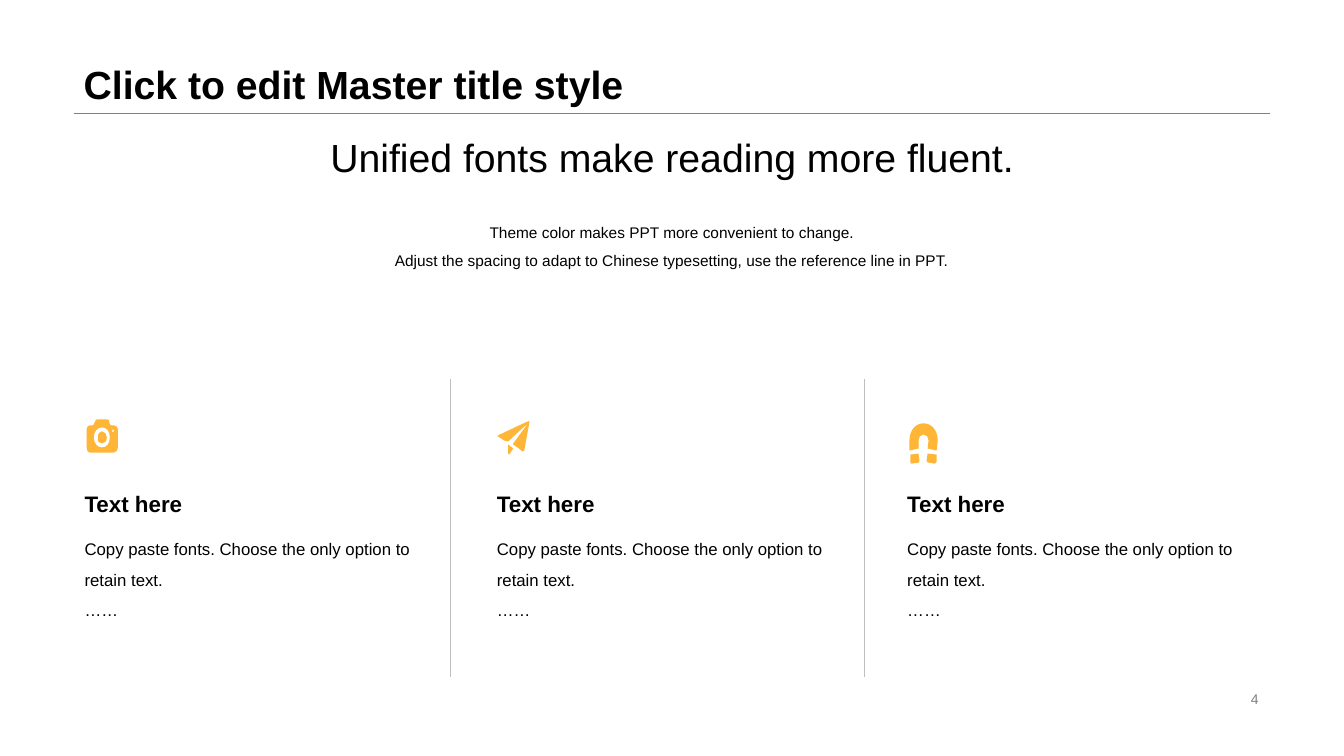
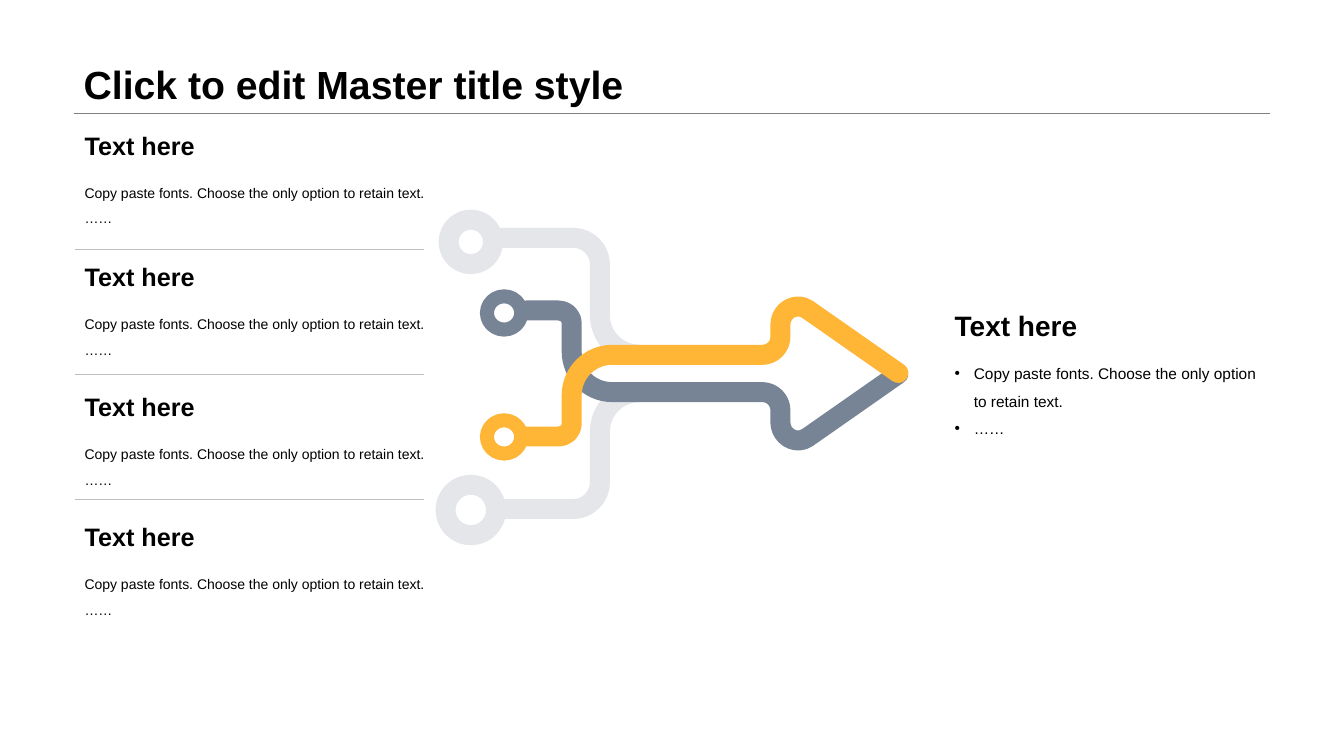
"""Build a three-column text slide and a four-branch merging arrow slide."""
from lxml.etree import SubElement
from pptx import Presentation
from pptx.dml.color import RGBColor
from pptx.enum.shapes import MSO_CONNECTOR, MSO_SHAPE
from pptx.enum.text import MSO_ANCHOR as Anchor, MSO_AUTO_SIZE, PP_ALIGN as Align
from pptx.oxml.ns import qn
from pptx.util import Pt

PX = 9144
FONT = "Arial"
BLACK, GRAY, DIVIDER = "000000", "808080", "BFBFBF"
AMBER, SLATE, MIST = "FFB535", "778495", "E4E6EA"
TITLE = "Click to edit Master title style"
HEADING = "Text here"
BODY = ["Copy paste fonts. Choose the only option to retain text.", "……"]
MIRROR_SUM = 741

CAMERA = (
    "M 101 428, C 98 428 97 431 97 434, C 97 438 98 440 101 440, "
    "C 104 440 106 438 106 434, C 106 431 104 428 101 428, "
    "M 113 422, L 110 422, C 110 422 109 422 109 421, L 108 417, "
    "C 107 417 107 416 106 416, L 96 416, C 96 416 95 417 95 417, L 93 421, "
    "C 93 422 93 422 92 422, L 89 422, C 87 422 86 424 86 426, L 86 444, "
    "C 86 447 87 449 89 449, L 113 449, C 115 449 117 447 117 444, L 117 426, "
    "C 117 424 115 422 113 422, "
    "M 101 444, C 97 444 93 440 93 434, C 93 428 97 424 101 424, "
    "C 106 424 109 428 109 434, C 109 440 106 444 101 444, "
    "M 112 429, C 112 429 111 428 111 428, C 111 427 112 426 112 426, "
    "C 113 426 113 427 113 428, C 113 428 113 429 112 429"
)
PAPER_PLANE = (
    "M 524 418, C 523 418 494 432 494 432, C 493 432 493 433 494 433, "
    "L 500 437 504 438, C 504 438 522 421 523 421, C 523 420 523 421 523 421, "
    "L 509 440 509 441, C 509 441 518 447 518 448, C 519 448 519 448 520 447, "
    "C 520 446 525 420 525 419, C 525 418 524 417 524 418, "
    "M 504 450, C 504 451 504 451 505 451, L 509 445 504 441"
)
MAGNET = (
    "M 919 457, C 919 458 920 459 921 459, L 927 460, C 928 460 928 459 929 458, "
    "L 929 451 920 450, "
    "M 903 451, L 903 458, C 903 459 903 460 904 460, L 911 459, "
    "C 911 459 912 458 912 457, L 911 450, "
    "M 902 439, L 902 447 911 445 911 437, C 911 434 913 431 916 431, "
    "C 919 431 921 434 921 437, L 920 445 929 447 930 437, "
    "C 930 427 924 420 916 420, C 908 420 902 427 902 437"
)
OUTER_BRANCH = (
    "M 497 236, L 569 236, C 583 236 595 248 595 262, L 595 313, "
    "C 595 334 612 352 635 352"
)
INNER_BRANCH = (
    "M 522 308, L 554 308, C 561 308 567 313 567 321, L 567 349, "
    "C 567 371 585 389 607 389, L 756 389, C 766 389 774 397 774 407, L 774 419, "
    "C 774 429 782 437 792 437, C 795 437 798 436 801 434, L 891 371"
)


def px(length):
    """Turn px into EMU."""
    return round(length * PX)


def color(hex_code):
    """Turn a hex string into a colour."""
    return RGBColor.from_string(hex_code)


def add_bullet(paragraph):
    """Give a paragraph a hanging bullet."""
    properties = paragraph._p.get_or_add_pPr()
    properties.set("marL", str(px(19)))
    properties.set("indent", str(px(-19)))
    SubElement(properties, qn("a:buFont")).set("typeface", FONT)
    SubElement(properties, qn("a:buChar")).set("char", "•")


def write(frame, lines, size, hex_code=BLACK, bold=False, align=Align.LEFT,
          spacing=1.0, bulleted=False):
    """Fill a text frame with one paragraph for each line."""
    for index, line in enumerate(lines):
        paragraph = frame.add_paragraph() if index else frame.paragraphs[0]
        if bulleted:
            add_bullet(paragraph)
        paragraph.alignment = align
        paragraph.line_spacing = spacing
        run = paragraph.add_run()
        run.text = line
        run.font.name = FONT
        run.font.size = Pt(size)
        run.font.bold = bold
        run.font.color.rgb = color(hex_code)


def add_text(slide, box, lines, size, anchor=Anchor.TOP, **style):
    """Place a wrapped text box."""
    frame = slide.shapes.add_textbox(*map(px, box)).text_frame
    frame.word_wrap = True
    frame.vertical_anchor = anchor
    write(frame, lines, size, **style)


def add_rule(slide, start, end, hex_code):
    """Draw a hairline between two points."""
    rule = slide.shapes.add_connector(MSO_CONNECTOR.STRAIGHT, *map(px, start + end))
    rule.line.color.rgb = color(hex_code)
    rule.line.width = Pt(0.25)
    SubElement(rule.element.spPr, qn("a:effectLst"))
    return rule


def trace(outline_steps, mirrored):
    """Turn drawing steps into contours and the kind of each edge."""
    contours, kinds = [], []
    for step in outline_steps.split(", "):
        kind, *numbers = step.split()
        values = [int(number) for number in numbers]
        points = [(px(x), px(MIRROR_SUM - y if mirrored else y))
                  for x, y in zip(values[::2], values[1::2])]
        if kind == "M":
            contours.append(points)
            continue
        contours[-1] += points
        kinds += ["C"] if kind == "C" else ["L"] * len(points)
    return contours, kinds


def bend_edges(outline, kinds):
    """Join each three edges of a curve into one cubic edge."""
    edges = iter(list(outline.element.iter(qn("a:lnTo"))))
    for kind in kinds:
        edge = next(edges)
        if kind == "C":
            edge.tag = qn("a:cubicBezTo")
            for _ in range(2):
                following = next(edges)
                edge.append(following[0])
                following.getparent().remove(following)


def add_outline(slide, outline_steps, close, mirrored=False):
    """Build a freeform with straight and curved edges."""
    contours, kinds = trace(outline_steps, mirrored)
    builder = slide.shapes.build_freeform(*contours[0][0])
    for index, points in enumerate(contours):
        if index:
            builder.move_to(*points[0])
        builder.add_line_segments(points[1:], close=close)
    outline = builder.convert_to_shape()
    bend_edges(outline, kinds)
    outline.shadow.inherit = False
    return outline


def add_icon(slide, outline_steps):
    """Draw a filled icon without a border."""
    icon = add_outline(slide, outline_steps, close=True)
    icon.fill.solid()
    icon.fill.fore_color.rgb = color(AMBER)
    icon.line.fill.background()


def stroke(shape, hex_code, weight):
    """Leave a shape hollow and give it a thick line."""
    shape.fill.background()
    shape.line.color.rgb = color(hex_code)
    shape.line.width = Pt(weight)


def add_branch(slide, outline_steps, mirrored, hex_code, ring_box, ring_weight):
    """Draw one rounded branch and the ring it starts from."""
    branch = add_outline(slide, outline_steps, close=False, mirrored=mirrored)
    stroke(branch, hex_code, 14.25)
    line = branch.element.spPr.find(qn("a:ln"))
    line.set("cap", "rnd")
    SubElement(line, qn("a:round"))
    ring = slide.shapes.add_shape(MSO_SHAPE.OVAL, *map(px, ring_box))
    ring.shadow.inherit = False
    stroke(ring, hex_code, ring_weight)


def add_titled_slide(deck, layout):
    """Add a slide with the shared title style."""
    slide = deck.slides.add_slide(layout)
    title = slide.shapes.title
    title.left, title.top, title.width, title.height = map(px, (73, 0, 1187, 112))
    frame = title.text_frame
    frame.auto_size = MSO_AUTO_SIZE.NONE
    frame.vertical_anchor = Anchor.BOTTOM
    write(frame, [TITLE], 28, bold=True, spacing=0.9)
    return slide


def share_title_rule(slide, layout):
    """Move the rule below the title to the layout."""
    rule = add_rule(slide, (73, 112), (1260, 112), GRAY).element
    rule.nvCxnSpPr.cNvPr.set("id", "20")
    layout.shapes.element.append(rule)


def add_column(slide, left, icon):
    """Add a column with icon, heading and text."""
    add_text(slide, (left, 520, 346, 118), BODY, 12, spacing=1.5)
    add_text(slide, (left, 484, 346, 34), [HEADING], 16, Anchor.MIDDLE,
             bold=True, spacing=0.9)
    add_icon(slide, icon)


def fill_columns_slide(slide):
    """Add the introduction and three columns."""
    for left, icon in ((74, CAMERA), (483, PAPER_PLANE), (890, MAGNET)):
        add_column(slide, left, icon)
    for x in (447, 857):
        add_rule(slide, (x, 376), (x, 672), DIVIDER)
    add_text(slide, (208, 124, 917, 64), ["Unified fonts make reading more fluent."],
             28, Anchor.MIDDLE, align=Align.CENTER)
    add_text(slide, (208, 207, 917, 65), [
        "Theme color makes PPT more convenient to change.",
        "Adjust the spacing to adapt to Chinese typesetting, use the reference line in PPT.",
    ], 11, align=Align.CENTER, spacing=1.5)
    add_text(slide, (940, 682, 318, 23), ["4"], 10, Anchor.MIDDLE,
             hex_code=GRAY, align=Align.RIGHT)


def fill_arrow_slide(slide):
    """Add four inputs, the merging arrow and its result."""
    for branch in (
        (OUTER_BRANCH, False, MIST, (445, 218, 44, 44), 14.25),
        (OUTER_BRANCH, True, MIST, (442, 481, 50, 50), 14.25),
        (INNER_BRANCH, False, SLATE, (483, 294, 34, 33), 10),
        (INNER_BRANCH, True, AMBER, (483, 417, 34, 33), 10),
    ):
        add_branch(slide, *branch)
    for index in range(4):
        top = 124 + round(129.5 * index)
        add_text(slide, (74, top, 368, 45), [HEADING], 18, bold=True)
        add_text(slide, (74, top + 46, 368, 78), BODY, 10, spacing=1.5)
    for index in range(3):
        y = 247 + 124 * index
        add_rule(slide, (74, y), (421, y), DIVIDER)
    add_text(slide, (937, 299, 323, 48), [HEADING], 20, Anchor.MIDDLE, bold=True)
    add_text(slide, (937, 347, 323, 95), BODY, 11, spacing=1.5, bulleted=True)


def main():
    """Build and save the deck."""
    deck = Presentation()
    deck.slide_width, deck.slide_height = px(1333), px(750)
    layout = deck.slide_layouts[5]
    columns_slide = add_titled_slide(deck, layout)
    share_title_rule(columns_slide, layout)
    fill_columns_slide(columns_slide)
    fill_arrow_slide(add_titled_slide(deck, layout))
    deck.save("out.pptx")


if __name__ == "__main__":
    main()
